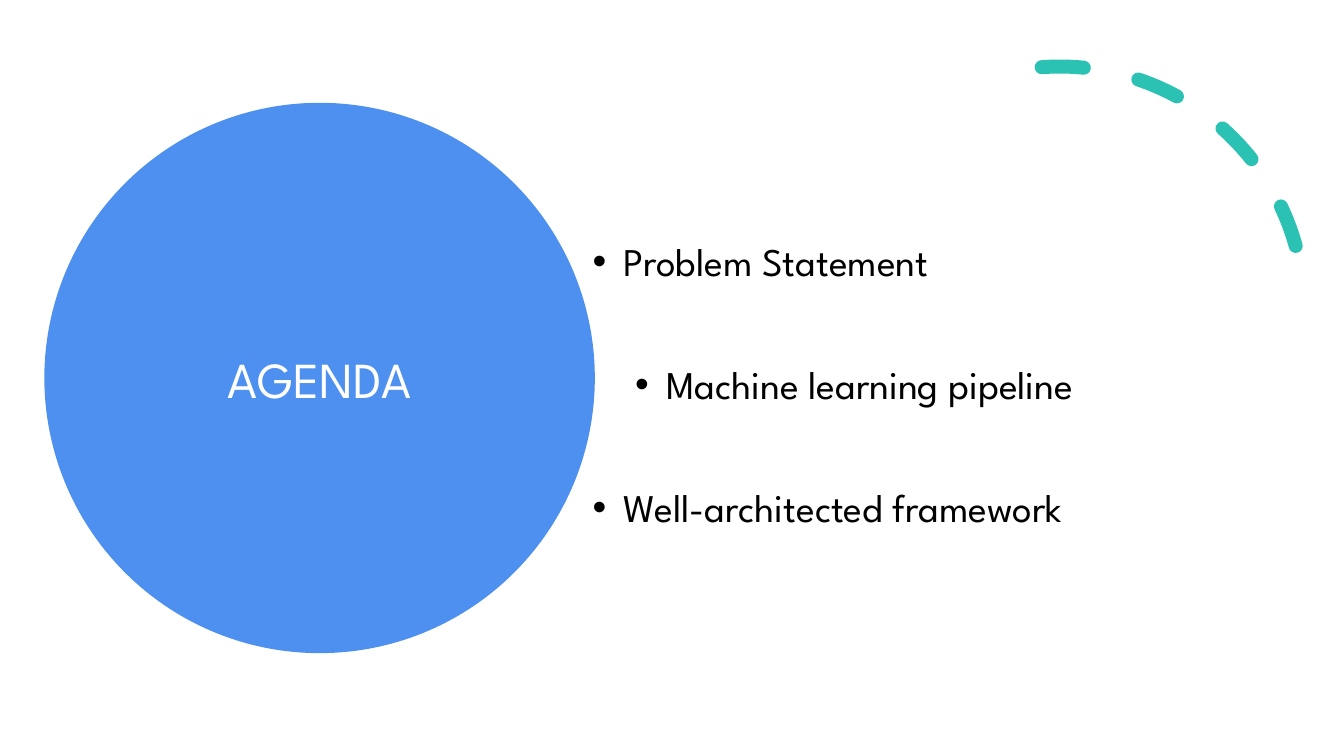
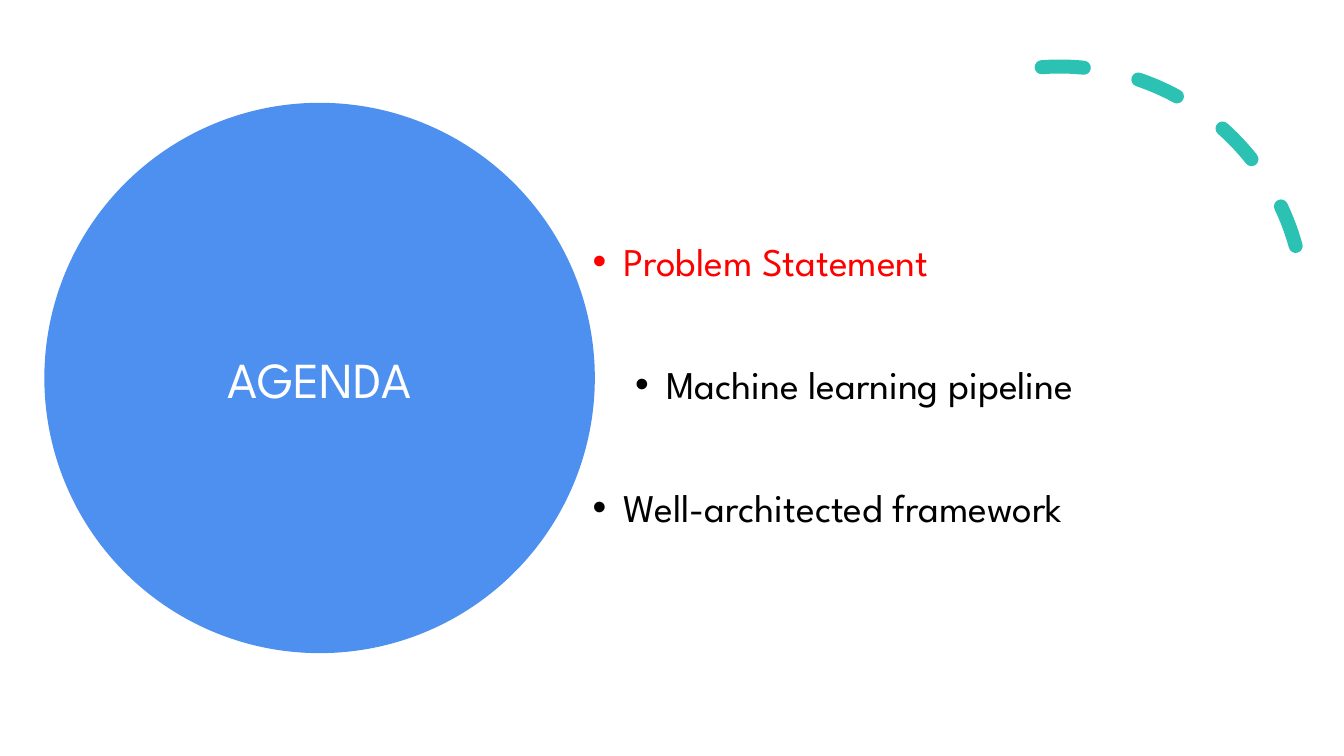
from lxml import etree
from pptx import Presentation
from pptx.dml.color import RGBColor
from pptx.enum.dml import MSO_LINE
from pptx.enum.shapes import MSO_SHAPE
from pptx.enum.text import MSO_AUTO_SIZE, PP_ALIGN
from pptx.oxml.ns import qn
from pptx.util import Inches, Pt

OVAL = MSO_SHAPE.OVAL
ARC = MSO_SHAPE.ARC
DASH = MSO_LINE.DASH
GROW = MSO_AUTO_SIZE.SHAPE_TO_FIT_TEXT
LEFT = PP_ALIGN.LEFT
CENTER = PP_ALIGN.CENTER

FONT = "League Spartan"
COLORS = {
    "background": "FFFFFF",
    "circle": "4D90EF",
    "title": "FFFFFF",
    "arc": "2BC2B4",
    "topic": "000000",
    "current": "FF0000",
}
TITLE = "AGENDA"
TOPICS = [
    ("Problem Statement", 5.78, 4.73),
    ("Machine learning pipeline", 6.2, 5.46),
    ("Well-architected framework", 5.78, 5.89),
]
CURRENT_TOPICS = [None, "Problem Statement"]

CIRCLE_BOX = (0.44, 1.02, 5.46, 5.46)
TITLE_BOX = (1.26, 3.4, 3.82, 0.71)
ARC_BOX = (8.08, 0.66, 4.86, 4.86)
ARC_ROTATION = 355.8
TOPIC_TOP, TOPIC_STEP, TOPIC_HEIGHT = 2.31, 1.22, 0.57
BULLET_INDENT = 0.31


def color(name):
    return RGBColor.from_string(COLORS[name])


def add_shape(slide, kind, box):
    shape = slide.shapes.add_shape(kind, *map(Inches, box))
    shape.shadow.inherit = False
    return shape


def add_text(slide, text, box, size, color_name, alignment=LEFT):
    frame = slide.shapes.add_textbox(*map(Inches, box)).text_frame
    frame.word_wrap = True
    frame.auto_size = GROW
    paragraph = frame.paragraphs[0]
    paragraph.text = text
    paragraph.alignment = alignment
    paragraph.font.name = FONT
    paragraph.font.size = Pt(size)
    paragraph.font.color.rgb = color(color_name)
    return paragraph


def add_bullet(paragraph, color_name):
    properties = paragraph._p.get_or_add_pPr()
    properties.set("marL", str(Inches(BULLET_INDENT)))
    properties.set("indent", str(-Inches(BULLET_INDENT)))
    bullet_color = etree.Element(qn("a:buClr"))
    etree.SubElement(bullet_color, qn("a:srgbClr"), val=COLORS[color_name])
    bullet_font = etree.Element(qn("a:buFont"), typeface="Arial")
    bullet = etree.Element(qn("a:buChar"), char="•")
    for position, element in enumerate((bullet_color, bullet_font, bullet)):
        properties.insert(position, element)


def add_title_circle(slide):
    circle = add_shape(slide, OVAL, CIRCLE_BOX)
    circle.fill.solid()
    circle.fill.fore_color.rgb = color("circle")
    circle.line.fill.background()
    add_text(slide, TITLE, TITLE_BOX, 36, "title", CENTER)


def add_dashed_arc(slide):
    arc = add_shape(slide, ARC, ARC_BOX)
    arc.rotation = ARC_ROTATION
    arc.fill.background()
    arc.line.color.rgb = color("arc")
    arc.line.width = Pt(10)
    arc.line.dash_style = DASH
    arc.line._get_or_add_ln().set("cap", "rnd")


def add_topics(slide, current):
    for index, (topic, left, width) in enumerate(TOPICS):
        color_name = "current" if topic == current else "topic"
        box = (left, TOPIC_TOP + index * TOPIC_STEP, width, TOPIC_HEIGHT)
        add_bullet(add_text(slide, topic, box, 28, color_name), color_name)


def add_agenda(presentation, current):
    slide = presentation.slides.add_slide(presentation.slide_layouts[6])
    slide.background.fill.solid()
    slide.background.fill.fore_color.rgb = color("background")
    add_title_circle(slide)
    add_dashed_arc(slide)
    add_topics(slide, current)


def main():
    presentation = Presentation()
    presentation.slide_width = Inches(13.33)
    presentation.slide_height = Inches(7.5)
    for current in CURRENT_TOPICS:
        add_agenda(presentation, current)
    presentation.save("out.pptx")


if __name__ == "__main__":
    main()
